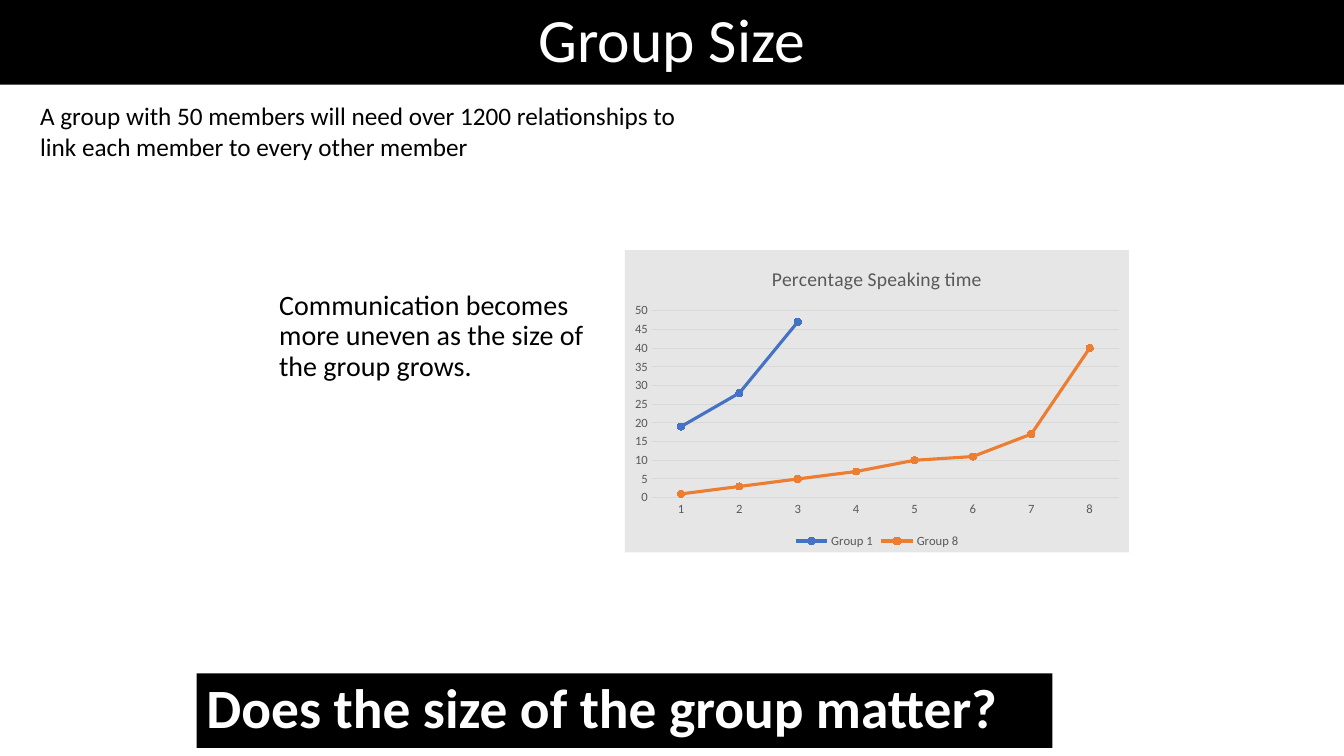
"""Build the Group Size slide with its speaking-time line chart."""
from lxml import etree
from pptx import Presentation
from pptx.chart import data
from pptx.dml.color import RGBColor
from pptx.enum import chart as ch, shapes, text
from pptx.oxml import ns
from pptx.util import Pt

COLORS = {"black": "000000", "white": "FFFFFF", "panel": "E7E6E6", "label": "595959",
          "grid": "D9D9D9", "Group 1": "4472C4", "Group 8": "ED7D31"}
FONT = "Calibri"


def rgb(name):
    return RGBColor.from_string(COLORS[name])


def write(frame, words, size=18, color="black", bold=False, align=text.PP_ALIGN.LEFT,
          anchor=text.MSO_ANCHOR.TOP, spacing=0.9, fit=text.MSO_AUTO_SIZE.NONE):
    frame.word_wrap = True
    frame.auto_size = fit
    frame.vertical_anchor = anchor
    paragraph = frame.paragraphs[0]
    paragraph.alignment = align
    paragraph.line_spacing = spacing
    paragraph.space_before = Pt(0)
    run = paragraph.add_run()
    run.text = words
    run.font.name, run.font.size, run.font.bold = FONT, Pt(size), bold
    run.font.color.rgb = rgb(color)
    return paragraph


prs = Presentation()
prs.slide_width, prs.slide_height = Pt(960), Pt(540)
slide = prs.slides.add_slide(prs.slide_layouts[1])

title = slide.shapes.title
title.left, title.top, title.width, title.height = Pt(0), Pt(0), Pt(960), Pt(60.5)
title.fill.solid()
title.fill.fore_color.rgb = rgb("black")
write(title.text_frame, "Group Size", size=44, color="white",
      align=text.PP_ALIGN.CENTER, anchor=text.MSO_ANCHOR.MIDDLE)

question = slide.shapes.add_shape(shapes.MSO_SHAPE.RECTANGLE,
                                  Pt(140.4), Pt(481), Pt(611.3), Pt(53.3))
question.shadow.inherit = False
question.fill.solid()
question.fill.fore_color.rgb = rgb("black")
question.line.fill.background()
write(question.text_frame, "Does the size of the group matter?", size=39.6,
      color="white", bold=True, anchor=text.MSO_ANCHOR.MIDDLE)

finding = slide.placeholders[1]
finding.left, finding.top, finding.width, finding.height = Pt(120.2), Pt(204.5), Pt(317.5), Pt(144.7)
finding_line = write(finding.text_frame,
                     "Communication becomes more uneven as the size of the group grows.", size=20)
finding_line.level = 2
indent = finding_line._p.get_or_add_pPr()
indent.set("marL", str(Pt(72)))
indent.set("indent", "0")
etree.SubElement(indent, ns.qn("a:buNone"))

speaking = data.CategoryChartData()
speaking.categories = [str(member) for member in range(1, 9)]
speaking.add_series("Group 1", [19, 28, 47] + [None] * 5)
speaking.add_series("Group 8", [1, 3, 5, 7, 10, 11, 17, 40])
chart = slide.shapes.add_chart(ch.XL_CHART_TYPE.LINE_MARKERS, Pt(446.4), Pt(178.6),
                               Pt(360), Pt(216), speaking).chart
chart.font.name, chart.font.size = FONT, Pt(10)
chart.font.color.rgb = rgb("black")

panel = etree.Element(ns.qn("c:spPr"))
panel_fill = etree.SubElement(panel, ns.qn("a:solidFill"))
etree.SubElement(panel_fill, ns.qn("a:srgbClr"), val=COLORS["panel"])
panel_line = etree.SubElement(panel, ns.qn("a:ln"))
etree.SubElement(panel_line, ns.qn("a:noFill"))
chart._chartSpace.find(ns.qn("c:chart")).addnext(panel)

chart.has_title = True
heading = chart.chart_title.text_frame
heading.text = "Percentage Speaking time"
chart.chart_title.include_in_layout = False
chart.has_legend = True
chart.legend.position = ch.XL_LEGEND_POSITION.BOTTOM
chart.legend.include_in_layout = False

members, percent = chart.category_axis, chart.value_axis
percent.minimum_scale, percent.maximum_scale, percent.major_unit = 0, 50, 5
percent.has_major_gridlines = True
members.has_major_gridlines = False
percent.format.line.fill.background()
for rule in (members.format.line, percent.major_gridlines.format.line):
    rule.color.rgb = rgb("grid")
    rule.width = Pt(0.75)
for axis in (members, percent):
    axis.major_tick_mark = axis.minor_tick_mark = ch.XL_TICK_MARK.NONE
for font, size in ((heading.paragraphs[0].runs[0].font, 14), (chart.legend.font, 9),
                   (members.tick_labels.font, 9), (percent.tick_labels.font, 9)):
    font.name, font.size, font.bold = FONT, Pt(size), False
    font.color.rgb = rgb("label")

chart.plots[0].vary_by_categories = False
for group in chart.plots[0].series:
    group.smooth = False
    group.format.line.color.rgb = rgb(group.name)
    group.format.line.width = Pt(2.25)
    group.marker.style, group.marker.size = ch.XL_MARKER_STYLE.CIRCLE, 5
    group.marker.format.fill.solid()
    group.marker.format.fill.fore_color.rgb = rgb(group.name)
    group.marker.format.line.color.rgb = rgb(group.name)

links = slide.shapes.add_textbox(Pt(21.6), Pt(68.4), Pt(488.9), Pt(51.1))
write(links.text_frame, "A group with 50 members will need over 1200 relationships to "
      "link each member to every other member", spacing=1.0,
      fit=text.MSO_AUTO_SIZE.SHAPE_TO_FIT_TEXT)

prs.save("out.pptx")
